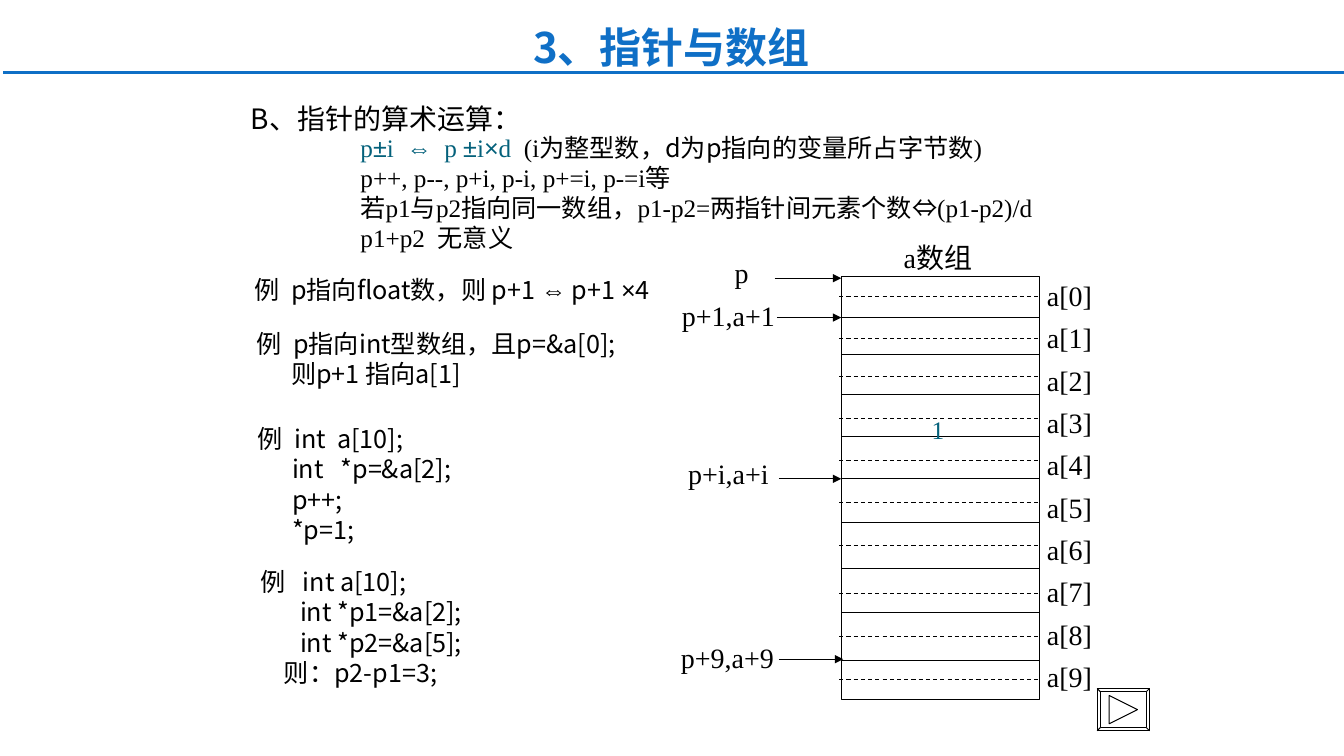
from dataclasses import dataclass
from typing import NamedTuple

from lxml.etree import SubElement
from pptx import Presentation
from pptx.dml.color import RGBColor
from pptx.enum.dml import MSO_LINE_DASH_STYLE as Dash
from pptx.enum.shapes import MSO_CONNECTOR as Link, MSO_SHAPE as Preset
from pptx.enum.text import MSO_ANCHOR as Anchor, MSO_AUTO_SIZE as Fit, PP_ALIGN as Align
from pptx.oxml.ns import qn
from pptx.util import Emu, Pt

PX = 9144  # EMU; 100 px to the inch


@dataclass(frozen=True)
class Theme:
    black: str = "000000"
    white: str = "FFFFFF"
    blue: str = "0F6FC6"
    teal: str = "04617B"
    sans: str = "Noto Sans CJK SC"
    serif: str = "Times New Roman"
    sign: str = "Arial"
    body: int = 18
    label: int = 20
    title: int = 30
    thin: float = 0.75
    rule: float = 2.25


T = Theme()


class Run(NamedTuple):
    text: str
    font: str = T.sans
    color: str = T.black
    spread: float = 0  # extra letter spacing, pt


class Line(NamedTuple):
    runs: list[Run]
    indent: int = 0


class Box(NamedTuple):
    x: int
    y: int
    w: int
    h: int


class Note(NamedTuple):
    box: Box
    lines: list[Line]


class Pointer(NamedTuple):
    text: str
    box: Box
    start: int
    end: int
    y: int


def serif(text: str, color: str = T.black) -> Run:
    return Run(text, T.serif, color)


def sign(text: str, color: str = T.black) -> Run:
    return Run(text, T.sign, color)


def teal(text: str, font: str = T.serif) -> Run:
    return Run(text, font, T.teal)


def code(text: str, indent: int = 0) -> Line:
    return Line([Run(text)], indent)


def example(text: str, spread: float = 4) -> list[Run]:
    """Lead a text with the example mark and a wide space."""
    return [Run("例"), Run(" ", spread=spread), Run(text)]


GAP = Run(" ", T.serif, T.teal, 4.5)
RULES = Note(Box(348, 126, 793, 183), [
    Line([teal("p"), teal("±", T.sign), teal("i"), GAP, teal("⇔", T.sign), GAP, teal("p "),
          teal("±", T.sign), teal("i"), teal("×", T.sign), teal("d"), GAP, serif("(i"),
          Run("为整型数，d为p指向的变量所占字节数"), serif(")")]),
    Line([serif("p++, p--, p+i, p-i, p+=i, p-=i等")]),
    Line([Run("若"), serif("p1与p2"), Run("指向同一数组"), serif("，p1-p2="),
          Run("两指针间元素个数"), sign("⇔"), serif("(p1-p2)/d")]),
    Line([serif("p1+p2"), GAP, Run("无意义")]),
])
EXAMPLES = [
    Note(Box(243, 267, 468, 40), [
        Line(example("p指向float数，则 p+1 ") + [sign("⇔"), Run(" p+1 "), sign("×"), Run("4")])]),
    Note(Box(245, 321, 421, 70), [
        Line(example("p指向int型数组，且p=&a[0];")), code("则p+1 指向a[1]", 34)]),
    Note(Box(246, 415, 229, 130), [
        Line(example("int  a[10];")), code("int   *p=&a[2];", 34),
        code("p++;", 34), code("*p=1;", 34)]),
    Note(Box(249, 557, 236, 130), [
        Line(example("int a[10];", 8)), code("int *p1=&a[2];", 39),
        code("int *p2=&a[5];", 39), code("则：p2-p1=3;", 23)]),
]
POINTERS = [
    Pointer("p", Box(719, 248, 34, 44), 769, 835, 276),
    Pointer("p+1,a+1", Box(667, 291, 112, 44), 771, 835, 315),
    Pointer("p+i,a+i", Box(673, 448, 100, 44), 773, 835, 475),
    Pointer("p+9,a+9", Box(666, 630, 112, 44), 773, 837, 654),
]
ARRAY = Box(835, 274, 197, 420)
EDGES = [315, 352, 391, 433, 475, 518, 564, 608, 655]
MIDS = [294, 336, 374, 415, 457, 499, 541, 589, 631, 674]
BUTTON = Box(1089, 683, 52, 42)
BEVEL = 3


def rgb(color: str) -> RGBColor:
    return RGBColor.from_string(color)


def emu(box: Box) -> list[Emu]:
    return [Emu(n * PX) for n in box]


def fill_text(frame, lines: list[Line], size: int, align=Align.LEFT, bold=False) -> None:
    for i, line in enumerate(lines):
        para = frame.paragraphs[0] if i == 0 else frame.add_paragraph()
        para.alignment = align
        props = para._p.get_or_add_pPr()
        props.set("marL", str(line.indent * PX))
        props.set("indent", "0")
        para.font.size, para.font.bold = Pt(size), bold
        same = len({(r.font, r.color) for r in line.runs}) == 1
        for item in line.runs:
            run = para.add_run()
            run.text = item.text
            font = para.font if same else run.font
            font.name = item.font
            font.color.rgb = rgb(item.color)
            if item.spread:
                run._r.get_or_add_rPr().set("spc", str(int(item.spread * 100)))
    for latin in list(frame._txBody.iter(qn("a:latin"))):
        latin.addnext(latin.makeelement(qn("a:ea"), typeface=T.sans))


def add_text(shapes, box: Box, lines: list[Line], size: int = T.body, align=Align.LEFT,
             anchor=Anchor.MIDDLE, bold=False) -> None:
    frame = shapes.add_textbox(*emu(box)).text_frame
    frame.word_wrap = True
    frame.auto_size = Fit.SHAPE_TO_FIT_TEXT
    frame.vertical_anchor = anchor
    fill_text(frame, lines, size, align, bold)


def add_label(shapes, box: Box, run: Run, size: int = T.label) -> None:
    """Centre one unwrapped word, using the full width of its box."""
    frame = shapes.add_textbox(*emu(box)).text_frame
    frame.word_wrap = False
    frame.auto_size = Fit.NONE
    frame.margin_left = frame.margin_right = 0
    frame.vertical_anchor = Anchor.MIDDLE
    fill_text(frame, [Line([run])], size, Align.CENTER)


def add_rule(shapes, x: int, end: int, y: int, color: str = T.black,
             width: float = T.thin, dash=False, arrow=False) -> None:
    """Draw a level line."""
    rule = shapes.add_connector(Link.STRAIGHT, *emu((x, y, end, y)))
    rule.line.color.rgb = rgb(color)
    rule.line.width = Pt(width)
    if dash:
        rule.line.dash_style = Dash.DASH
    if arrow:
        SubElement(rule.line._get_or_add_ln(), qn("a:tailEnd"), type="triangle")
    SubElement(rule._element.spPr, qn("a:effectLst"))


def outline(shape) -> None:
    shape.shadow.inherit = False
    shape.line.color.rgb = rgb(T.black)
    shape.line.width = Pt(T.thin)


def add_array(shapes) -> None:
    frame = shapes.add_shape(Preset.RECTANGLE, *emu(ARRAY))
    frame.fill.solid()
    frame.fill.fore_color.rgb = rgb(T.white)
    outline(frame)
    for y in EDGES:
        add_rule(shapes, ARRAY.x, ARRAY.x + ARRAY.w, y)
    for y in MIDS:
        add_rule(shapes, ARRAY.x - 2, ARRAY.x + ARRAY.w - 2, y, dash=True)
    for i in range(10):
        add_label(shapes, Box(1029, 271 + 42 * i, 65, 44), serif(f"a[{i}]"))
    add_label(shapes, Box(884, 233, 94, 44), serif("a数组"))


def corners(box: Box, gap: int) -> list[tuple[int, int]]:
    left, top = box.x + gap, box.y + gap
    right, low = box.x + box.w - gap, box.y + box.h - gap
    return [(left, top), (right, top), (right, low), (left, low)]


def add_button(shapes) -> None:
    outer, inner = corners(BUTTON, 0), corners(BUTTON, BEVEL)
    arrow = [(1101, 690), (1129, 704), (1101, 718)]
    pen = shapes.build_freeform(*outer[0], scale=PX)
    pen.add_line_segments(outer[1:], close=True)
    for ring in (inner, arrow):
        pen.move_to(*ring[0])
        pen.add_line_segments(ring[1:], close=True)
    for far, near in zip(outer, inner):
        pen.move_to(*far)
        pen.add_line_segments([near], close=False)
    button = pen.convert_to_shape()
    button.fill.background()
    outline(button)


def main() -> None:
    deck = Presentation()
    deck.slide_width, deck.slide_height = Emu(1334 * PX), Emu(750 * PX)
    slide = deck.slides.add_slide(deck.slide_layouts[5])
    shapes = slide.shapes

    head = shapes.title
    head.left, head.top, head.width, head.height = emu(Box(239, 87, 850, 52))
    head.text_frame.vertical_anchor = Anchor.BOTTOM
    head.text_frame.paragraphs[0].line_spacing = 0.9
    fill_text(head.text_frame, [Line([Run("B、指针的算术运算：")])], T.label)

    add_rule(shapes, 3, 1334, 72, T.blue, T.rule)
    add_text(shapes, RULES.box, RULES.lines, anchor=Anchor.TOP)
    for note in EXAMPLES:
        add_text(shapes, note.box, note.lines)
    add_button(shapes)
    add_array(shapes)
    for item in POINTERS:
        add_rule(shapes, item.start, item.end, item.y, arrow=True)
        add_label(shapes, item.box, serif(item.text))
    add_label(shapes, Box(915, 406, 32, 40), teal("1"), T.body)
    add_text(shapes, Box(94, 16, 1145, 60), [Line([Run("3、指针与数组", color=T.blue)])],
             T.title, Align.CENTER, Anchor.TOP, bold=True)
    deck.save("out.pptx")


if __name__ == "__main__":
    main()
